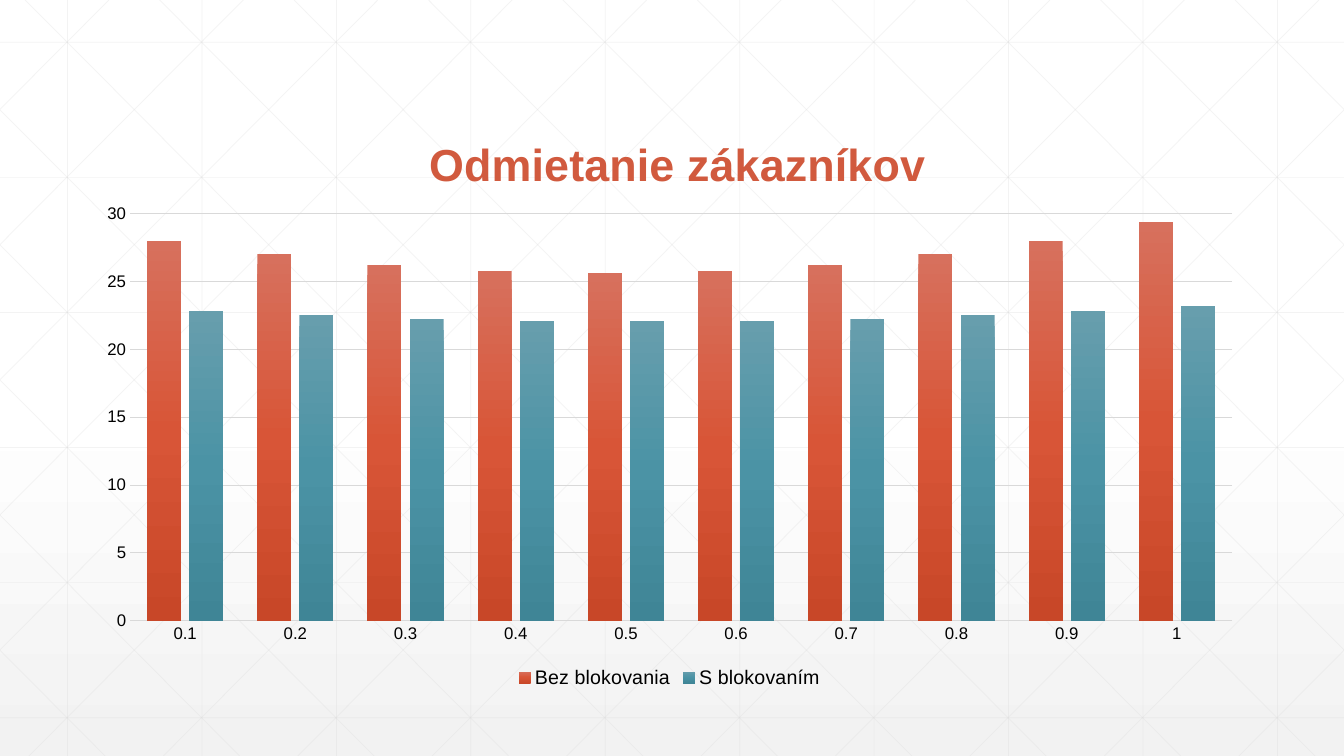
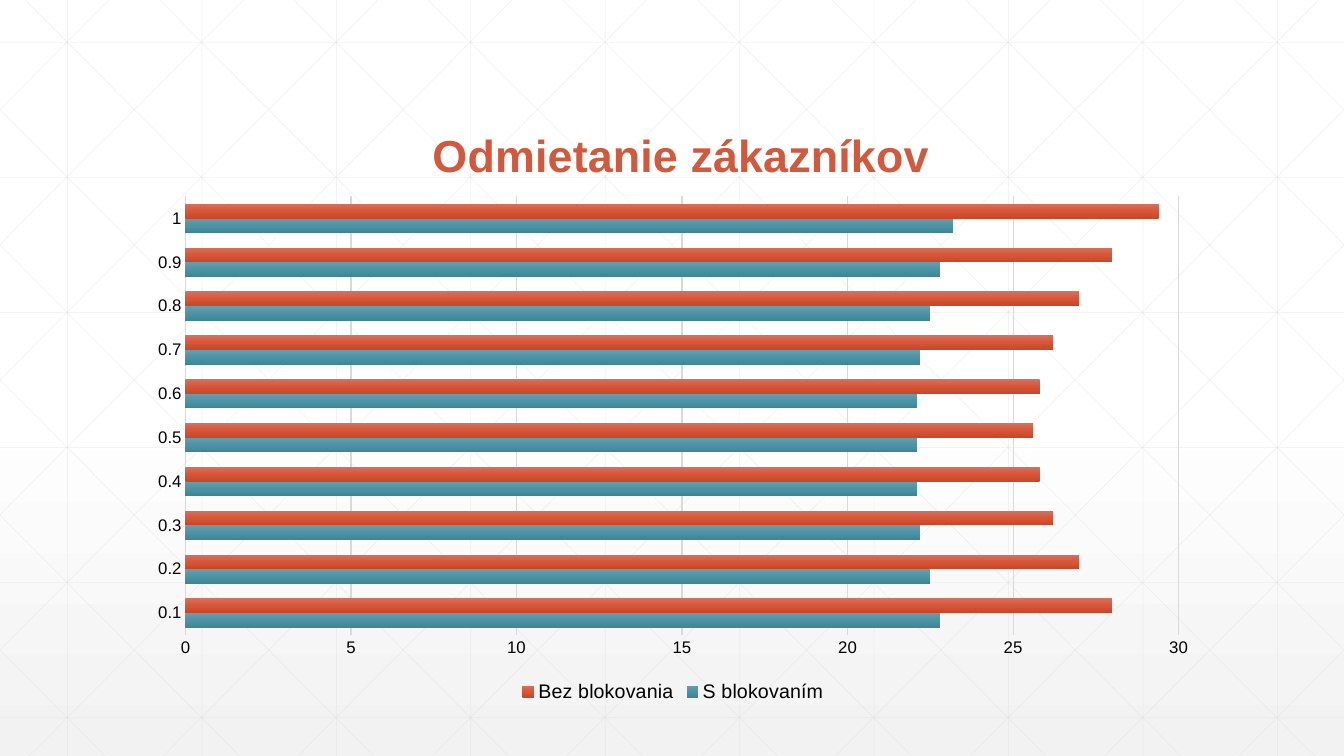
"""Build two chart slides that share a fine lattice background."""
from lxml import etree
from pptx import Presentation
from pptx.chart.data import CategoryChartData
from pptx.dml.color import RGBColor
from pptx.enum.chart import XL_CHART_TYPE, XL_LEGEND_POSITION, XL_TICK_MARK
from pptx.enum.shapes import MSO_CONNECTOR
from pptx.oxml.ns import qn
from pptx.util import Inches, Pt

COLUMN, BAR = XL_CHART_TYPE.COLUMN_CLUSTERED, XL_CHART_TYPE.BAR_CLUSTERED
BOTTOM = XL_LEGEND_POSITION.BOTTOM
NO_TICK = XL_TICK_MARK.NONE
STRAIGHT = MSO_CONNECTOR.STRAIGHT

WIDE, HIGH = 13.33, 7.5
FONT = "Arial"
BLACK, GREY, RED = "000000", "D9D9D9", "D15A3E"
BACK = [(0, "FFFFFF"), (53, "FFFFFF"), (100, "F2F2F2")]

TITLE = "Odmietanie zákazníkov"
TITLE_WIDE, TITLE_TOP = 4.93, 0.28
CATS = ["0.1", "0.2", "0.3", "0.4", "0.5", "0.6", "0.7", "0.8", "0.9", "1"]
FREE = ("Bez blokovania",
        [28, 27, 26.2, 25.8, 25.6, 25.8, 26.2, 27, 28, 29.4],
        [(0, "D7705D"), (50, "D85537"), (100, "C84728")])
BLOCK = ("S blokovaním",
         [22.8, 22.5, 22.2, 22.1, 22.1, 22.1, 22.2, 22.5, 22.8, 23.2],
         [(0, "679EAD"), (50, "4B93A5"), (100, "3F8596")])
CHARTS = [
    dict(kind=COLUMN, at=(0.83, 0.98, 11.62, 5.89), rows=[FREE, BLOCK],
         overlap=-24, plot=(1.29, 2.12, 10.93, 4.04)),
    dict(kind=BAR, at=(1.35, 0.89, 10.65, 6.12), rows=[BLOCK, FREE],
         overlap=0, plot=(1.84, 1.95, 9.85, 4.35)),
]


def rgb(color):
    return RGBColor.from_string(color)


def set_font(font, size, color, bold=False):
    font.name, font.size, font.bold = FONT, Pt(size), bold
    font.color.rgb = rgb(color)


def shade(fill, owner, stops):
    fill.gradient()
    fill.gradient_angle = 270
    group = next(owner.iter(qn("a:gsLst")))
    for old in list(group):
        group.remove(old)
    for pos, color in stops:
        stop = etree.SubElement(group, qn("a:gs"), pos=str(pos * 1000))
        etree.SubElement(stop, qn("a:srgbClr"), val=color)


def place(owner, index, **parts):
    for old in owner.findall(qn("c:layout")):
        owner.remove(old)
    layout = etree.Element(qn("c:layout"))
    manual = etree.SubElement(layout, qn("c:manualLayout"))
    for name, value in parts.items():
        val = value if isinstance(value, str) else f"{value:.4f}"
        etree.SubElement(manual, qn("c:" + name), val=val)
    owner.insert(index, layout)


def lattice():
    """Return the line ends of the square and diagonal grid."""
    step, run = 4 / 3, 7.46
    ends = [(x, 0, x, HIGH) for x in (0.67 + step * i for i in range(10))]
    ends += [(0, y, WIDE, y) for y in (0.42 + 1.34 * i for i in range(6))]
    for i in range(-5, 10):
        top = 0.25 + step * i
        x1, x2 = max(0, top), min(WIDE, top + run)
        y1, y2 = ((x - top) * HIGH / run for x in (x1, x2))
        ends += [(x1, y1, x2, y2), (WIDE - x1, y1, WIDE - x2, y2)]
    return ends


def add_back(slide, layout):
    """Draw the lattice and move it to the shared layout."""
    shade(layout.background.fill, layout.background.element, BACK)
    for holder in list(layout.placeholders):
        holder.element.getparent().remove(holder.element)
    for ends in lattice():
        link = slide.shapes.add_connector(STRAIGHT, *map(Inches, ends))
        link.line.width = Pt(0.5)
        link.line.color.rgb = rgb(GREY)
        props = link.element.spPr
        tint = next(props.iter(qn("a:srgbClr")))
        etree.SubElement(tint, qn("a:alpha"), val="30000")
        etree.SubElement(props, qn("a:effectLst"))
        layout.shapes.element.append(link.element)


def add_title(chart, wide, high):
    chart.has_title = True
    title = chart.chart_title
    title.include_in_layout = False
    para = title.text_frame.paragraphs[0]
    para.text = TITLE
    set_font(para.font, 32, RED, True)
    place(title.element, 1, xMode="edge", yMode="edge",
          x=(1 - TITLE_WIDE / wide) / 2, y=TITLE_TOP / high)


def style_axes(chart):
    cat, val = chart.category_axis, chart.value_axis
    for axis in (cat, val):
        axis.major_tick_mark = axis.minor_tick_mark = NO_TICK
        set_font(axis.tick_labels.font, 12, BLACK)
    val.minimum_scale, val.maximum_scale, val.major_unit = 0, 30, 5
    val.has_major_gridlines = True
    val.format.line.fill.background()
    for line in (cat.format.line, val.major_gridlines.format.line):
        line.color.rgb = rgb(GREY)
        line.width = Pt(0.75)


def add_chart(slide, kind, at, rows, overlap, plot):
    data = CategoryChartData()
    data.categories = CATS
    for name, values, _ in rows:
        data.add_series(name, values)
    chart = slide.shapes.add_chart(kind, *map(Inches, at), data).chart
    set_font(chart.font, 10, "2D2E2D")
    left, top, wide, high = at
    add_title(chart, wide, high)
    style_axes(chart)
    chart.has_legend = True
    chart.legend.position = BOTTOM
    chart.legend.include_in_layout = False
    set_font(chart.legend.font, 14, BLACK)
    bars = chart.plots[0]
    bars.gap_width, bars.overlap = 100, overlap
    bars.vary_by_categories = False
    nodes = chart.element.iter(qn("c:ser"))
    for series, node, row in zip(bars.series, nodes, rows):
        series.invert_if_negative = False
        shade(series.format.fill, node, row[2])
    x, y, w, h = plot
    place(next(chart.element.iter(qn("c:plotArea"))), 0,
          layoutTarget="inner", xMode="edge", yMode="edge",
          x=(x - left) / wide, y=(y - top) / high, w=w / wide, h=h / high)


deck = Presentation()
deck.slide_width, deck.slide_height = Inches(WIDE), Inches(HIGH)
blank = deck.slide_layouts[6]
slides = [deck.slides.add_slide(blank) for _ in CHARTS]
add_back(slides[0], blank)
for slide, chart in zip(slides, CHARTS):
    add_chart(slide, **chart)
deck.save("out.pptx")
